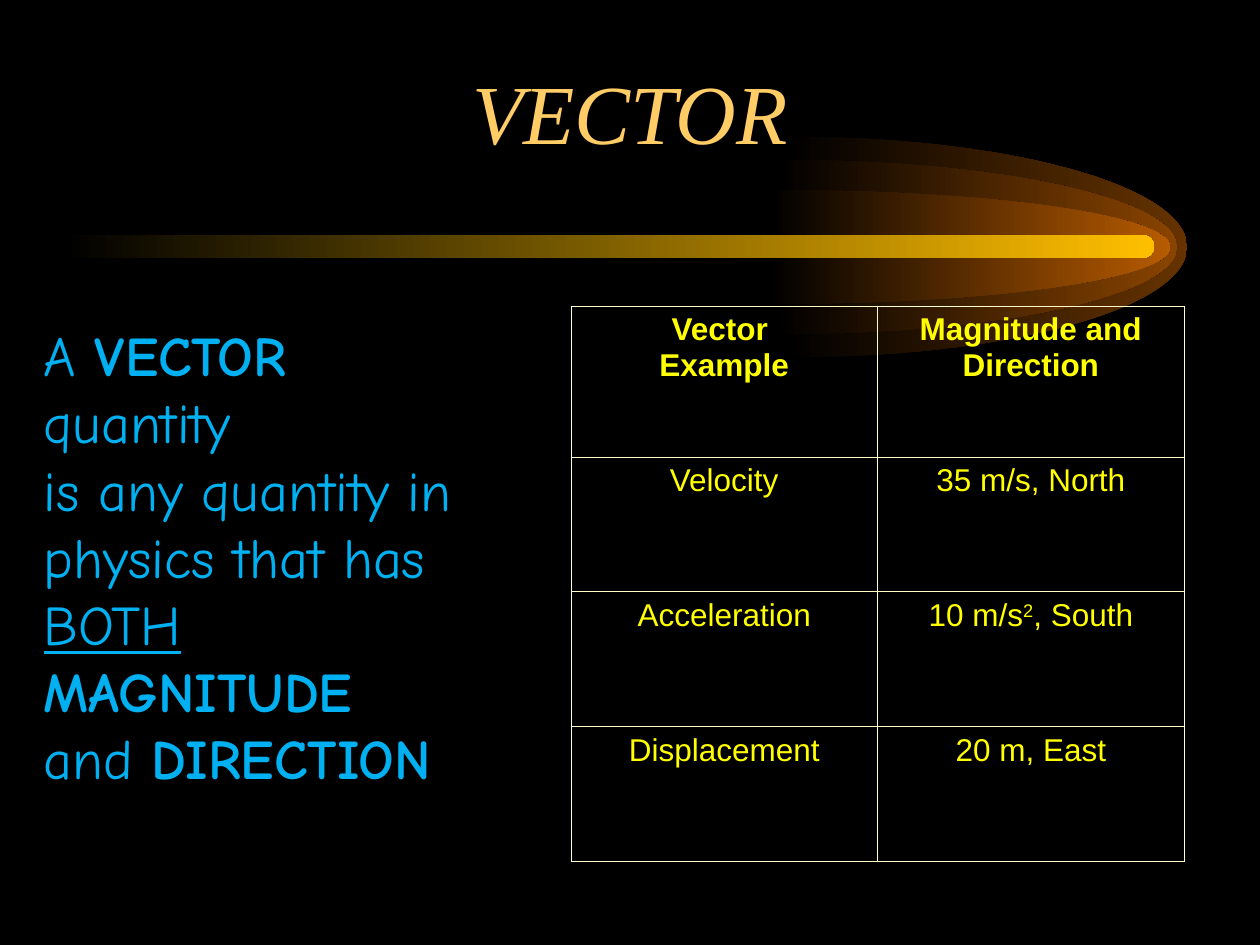
from dataclasses import dataclass

from lxml import etree
from pptx import Presentation
from pptx.dml.color import RGBColor
from pptx.enum.shapes import MSO_SHAPE
from pptx.enum.text import MSO_ANCHOR, MSO_AUTO_SIZE, PP_ALIGN
from pptx.oxml.ns import qn
from pptx.util import Cm, Pt

ROUND = MSO_SHAPE.ROUNDED_RECTANGLE
TOP, BOTTOM = MSO_ANCHOR.TOP, MSO_ANCHOR.BOTTOM
LEFT, CENTER = PP_ALIGN.LEFT, PP_ALIGN.CENTER
FIXED, GROW = MSO_AUTO_SIZE.NONE, MSO_AUTO_SIZE.SHAPE_TO_FIT_TEXT


@dataclass
class Theme:
    back: str = "000000"
    title: str = "FFCC66"
    body: str = "00B0F0"
    cell: str = "FFFF00"
    rule: str = "FFFFCC"
    beam: str = "FFBF00"
    glows: tuple = ("663300", "894400", "B75B00")
    title_size: float = 48
    body_size: float = 32
    cell_size: float = 18
    rule_size: float = 0.45


theme = Theme()


def write(frame, lines, face, size, color, align):
    for i, line in enumerate(lines):
        par = frame.paragraphs[0] if i == 0 else frame.add_paragraph()
        par.alignment = align
        for text, style in line:
            run = par.add_run()
            run.text = text
            font = run.font
            font.name = face
            font.size = Pt(size)
            font.color.rgb = RGBColor.from_string(color)
            font.bold = style == "bold"
            font.italic = style == "italic"
            font.underline = style == "under"
            if style == "super":
                run._r.get_or_add_rPr().set("baseline", "30000")


def fade(shape, color):
    shape.shadow.inherit = False
    shape.line.fill.background()
    shape.fill.gradient()
    shape.fill.gradient_angle = 0
    for stop, tint in zip(shape.fill.gradient_stops, (theme.back, color)):
        stop.color.rgb = RGBColor.from_string(tint)


deck = Presentation()
deck.slide_width, deck.slide_height = Cm(25.4), Cm(19.05)
slide = deck.slides.add_slide(deck.slide_layouts[5])
slide.background.fill.solid()
slide.background.fill.fore_color.rgb = RGBColor.from_string(theme.back)
shapes = slide.shapes

mid = 4.98
reach = 7.95
bend = 0.55
for color, left, half in zip(theme.glows, (15.85, 15.65, 15.52), (2.22, 1.76, 1.15)):
    hub = left + 0.13
    spots = [
        (hub, -1), (hub + bend * reach, -1), (hub + reach, -bend), (hub + reach, 0),
        (hub + reach, bend), (hub + bend * reach, 1), (hub, 1), (left, 1), (hub, 0),
    ]
    points = [(Cm(x), Cm(mid + half * y)) for x, y in spots]
    draft = shapes.build_freeform(*points[0])
    draft.add_line_segments(points[1:], close=True)
    glow = draft.convert_to_shape()
    lines = list(glow.element.iter(qn("a:lnTo")))
    for trio in (lines[:3], lines[3:6]):
        curve = etree.Element(qn("a:cubicBezTo"))
        trio[0].addprevious(curve)
        for line in trio:
            curve.append(line[0])
            line.getparent().remove(line)
    fade(glow, color)

beam = shapes.add_shape(ROUND, Cm(1.27), Cm(4.74), Cm(22), Cm(0.46))
beam.adjustments[0] = 0.5
fade(beam, theme.beam)

title = shapes.title
title.element.getparent().append(title.element)
title.left, title.top, title.width, title.height = Cm(1.9), Cm(1.06), Cm(21.6), Cm(2.33)
title.text_frame.auto_size = FIXED
title.text_frame.vertical_anchor = BOTTOM
write(title.text_frame, [[("VECTOR", "italic")]],
      "Times New Roman", theme.title_size, theme.title, CENTER)

body = shapes.add_textbox(Cm(0.63), Cm(6.34), Cm(9.52), Cm(11.1))
body.text_frame.word_wrap = True
body.text_frame.auto_size = GROW
body.text_frame.vertical_anchor = TOP
write(body.text_frame, [
    [("A ", ""), ("VECTOR ", "bold"), ("quantity", "")],
    [("is any quantity in", "")],
    [("physics that has", "")],
    [("BOTH", "under"), (" ", ""), ("MAGNITUDE", "bold")],
    [("and ", ""), ("DIRECTION", "bold")],
], "Comic Neue", theme.body_size, theme.body, LEFT)

rows = [
    [[[("Vector ", "bold")], [("Example", "bold")]],
     [[("Magnitude and", "bold")], [("Direction", "bold")]]],
    [[[("Velocity", "")]], [[("35 m/s, North", "")]]],
    [[[("Acceleration", "")]],
     [[("10 m/s", ""), ("2", "super"), (", South", "")]]],
    [[[("Displacement", "")]], [[("20 m, East", "")]]],
]
table = shapes.add_table(4, 2, Cm(11.51), Cm(6.17), Cm(12.36), Cm(11.19)).table
table.first_row = table.horz_banding = False
for col in table.columns:
    col.width = Cm(6.18)
for i, row in enumerate(table.rows):
    row.height = Cm(3.04 if i == 0 else 2.72)
    for cell, lines in zip(row.cells, rows[i]):
        write(cell.text_frame, lines, "Arial", theme.cell_size, theme.cell, CENTER)
        props = cell._tc.get_or_add_tcPr()
        for side in ("lnL", "lnR", "lnT", "lnB"):
            line = etree.SubElement(props, qn("a:" + side), w=str(Pt(theme.rule_size)))
            fill = etree.SubElement(line, qn("a:solidFill"))
            etree.SubElement(fill, qn("a:srgbClr"), val=theme.rule)
        cell.fill.background()

deck.save("out.pptx")
